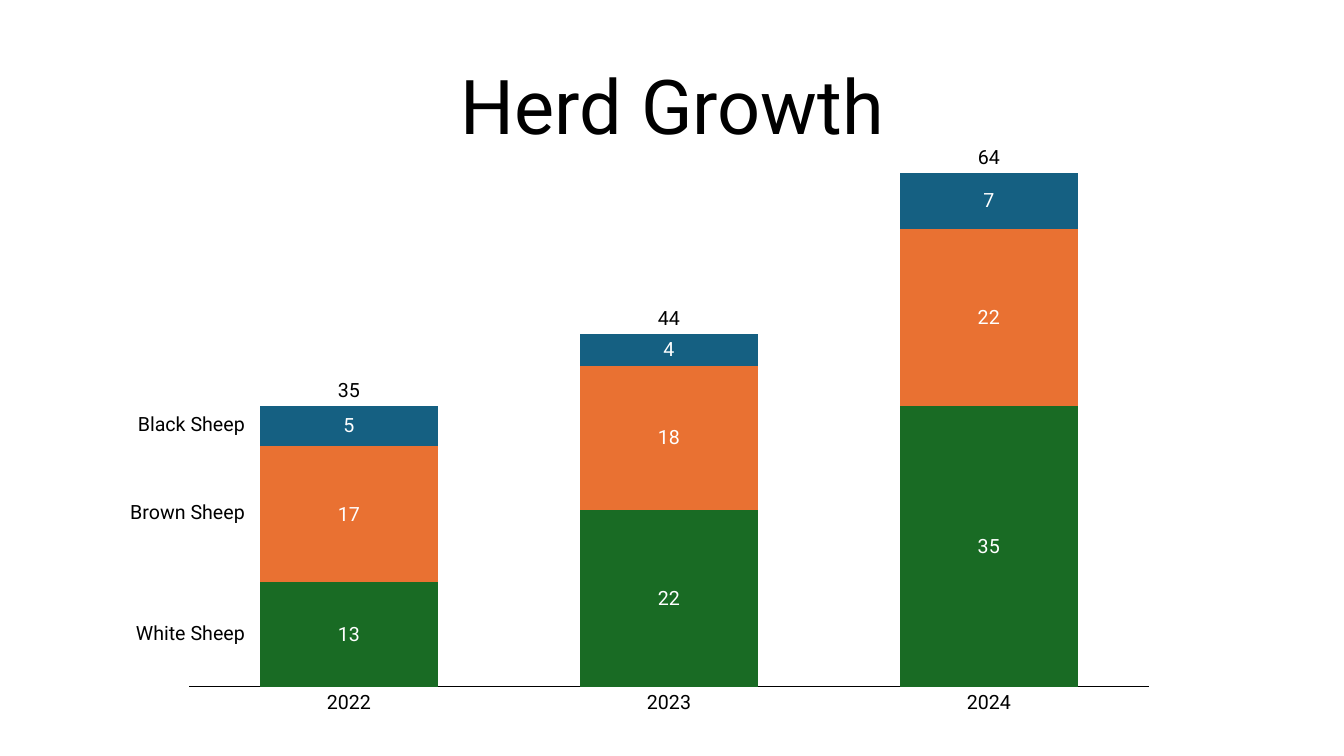
from pptx import Presentation
from pptx import util as u
from pptx.chart.data import CategoryChartData
from pptx.dml.color import RGBColor
from pptx.enum import chart as ch, text
from pptx.oxml import parse_xml
from pptx.oxml.ns import nsdecls

HEADING = "Herd Growth"
YEARS = ["2022", "2023", "2024"]
HERDS = [
    ("White Sheep", (13, 22, 35), "196B24"),
    ("Brown Sheep", (17, 18, 22), "E97132"),
    ("Black Sheep", (5, 4, 7), "156082"),
]
FONT = "Roboto"
BLACK, WHITE = "000000", "FFFFFF"
CHART = (180, 139, 979, 582)
PLOT = (189, 173, 960, 514)
NAMES_RIGHT = 245
LINE_H = 21
LABEL_W = 120
PX = 914400 / 100.8


def px(n):
    return u.Emu(round(n * PX))


def color(hex_code):
    return RGBColor.from_string(hex_code)


def style(font, size, hex_code):
    font.name = FONT
    font.size = u.Pt(size)
    font.color.rgb = color(hex_code)


def write(frame, words, size, align, anchor):
    frame.text = words
    frame.vertical_anchor = anchor
    line = frame.paragraphs[0]
    line.alignment = align
    line.line_spacing = 0.9
    style(line.runs[0].font, size, BLACK)


def label(words, left, top, align):
    box = slide.shapes.add_textbox(px(left), px(top), px(LABEL_W), px(LINE_H))
    frame = box.text_frame
    frame.margin_left = frame.margin_right = 0
    frame.margin_top = frame.margin_bottom = 0
    write(frame, words, 14, align, text.MSO_ANCHOR.MIDDLE)
    frame.word_wrap = True


deck = Presentation()
deck.slide_width, deck.slide_height = u.Inches(13.333), u.Inches(7.5)
slide = deck.slides.add_slide(deck.slide_layouts[0])

heading, subtitle = slide.placeholders
subtitle.element.getparent().remove(subtitle.element)
heading.left, heading.top, heading.width, heading.height = map(px, (337, 67, 671, 89))
write(heading.text_frame, HEADING, 54, text.PP_ALIGN.CENTER, text.MSO_ANCHOR.BOTTOM)

totals = [sum(counts) for counts in zip(*(counts for _, counts, _ in HERDS))]
herd_data = CategoryChartData(number_format="0")
herd_data.categories = YEARS
for name, counts, _ in HERDS:
    herd_data.add_series(name, counts)
chart = slide.shapes.add_chart(
    ch.XL_CHART_TYPE.COLUMN_STACKED, *map(px, CHART), herd_data
).chart
chart.has_title = False
chart.has_legend = False
style(chart.font, 14, BLACK)

bars = chart.plots[0]
bars.gap_width, bars.overlap = 80, 100
bars.vary_by_categories = False
for series, (_, _, fill) in zip(bars.series, HERDS):
    series.format.fill.solid()
    series.format.fill.fore_color.rgb = color(fill)
    series.data_labels.show_value = True
    series.data_labels.position = ch.XL_LABEL_POSITION.CENTER
    style(series.data_labels.font, 14, WHITE)

year_axis, count_axis = chart.category_axis, chart.value_axis
year_axis.tick_label_position = ch.XL_TICK_LABEL_POSITION.NONE
year_axis.major_tick_mark = ch.XL_TICK_MARK.NONE
year_axis.format.line.color.rgb = color(BLACK)
year_axis.format.line.width = u.Pt(0.75)
count_axis.minimum_scale, count_axis.maximum_scale = 0, max(totals)
count_axis.has_major_gridlines = False
count_axis.visible = False

fractions = {
    "x": (PLOT[0] - CHART[0]) / CHART[2],
    "y": (PLOT[1] - CHART[1]) / CHART[3],
    "w": PLOT[2] / CHART[2],
    "h": PLOT[3] / CHART[3],
}
plot_area = chart.element.chart.plotArea
for old in plot_area.xpath("c:layout"):
    plot_area.remove(old)
plot_area.insert(0, parse_xml(
    f'<c:layout {nsdecls("c")}><c:manualLayout><c:layoutTarget val="inner"/>'
    '<c:xMode val="edge"/><c:yMode val="edge"/>'
    + "".join(f'<c:{key} val="{part:.4f}"/>' for key, part in fractions.items())
    + "</c:manualLayout></c:layout>"
))

base = PLOT[1] + PLOT[3]
unit = PLOT[3] / max(totals)
step = PLOT[2] / len(YEARS)
for i, (year, total) in enumerate(zip(YEARS, totals)):
    left = PLOT[0] + step * (i + 0.5) - LABEL_W / 2
    label(year, left, base + 6, text.PP_ALIGN.CENTER)
    label(str(total), left, base - total * unit - LINE_H - 4, text.PP_ALIGN.CENTER)

stacked = 0
for name, counts, _ in HERDS:
    middle = base - (stacked + counts[0] / 2) * unit
    label(name, NAMES_RIGHT - LABEL_W, middle - LINE_H / 2 - 1, text.PP_ALIGN.RIGHT)
    stacked += counts[0]

deck.save("out.pptx")
